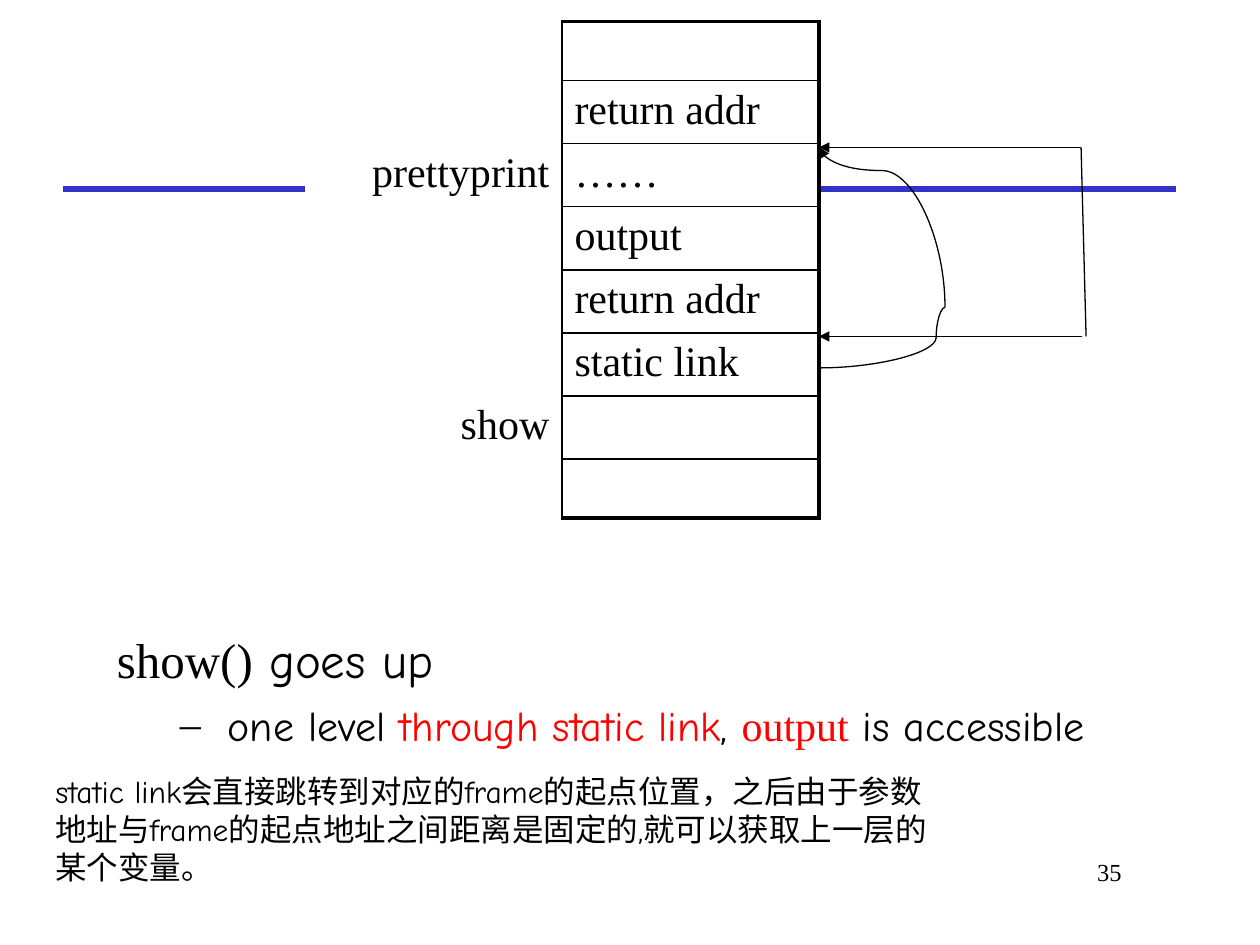
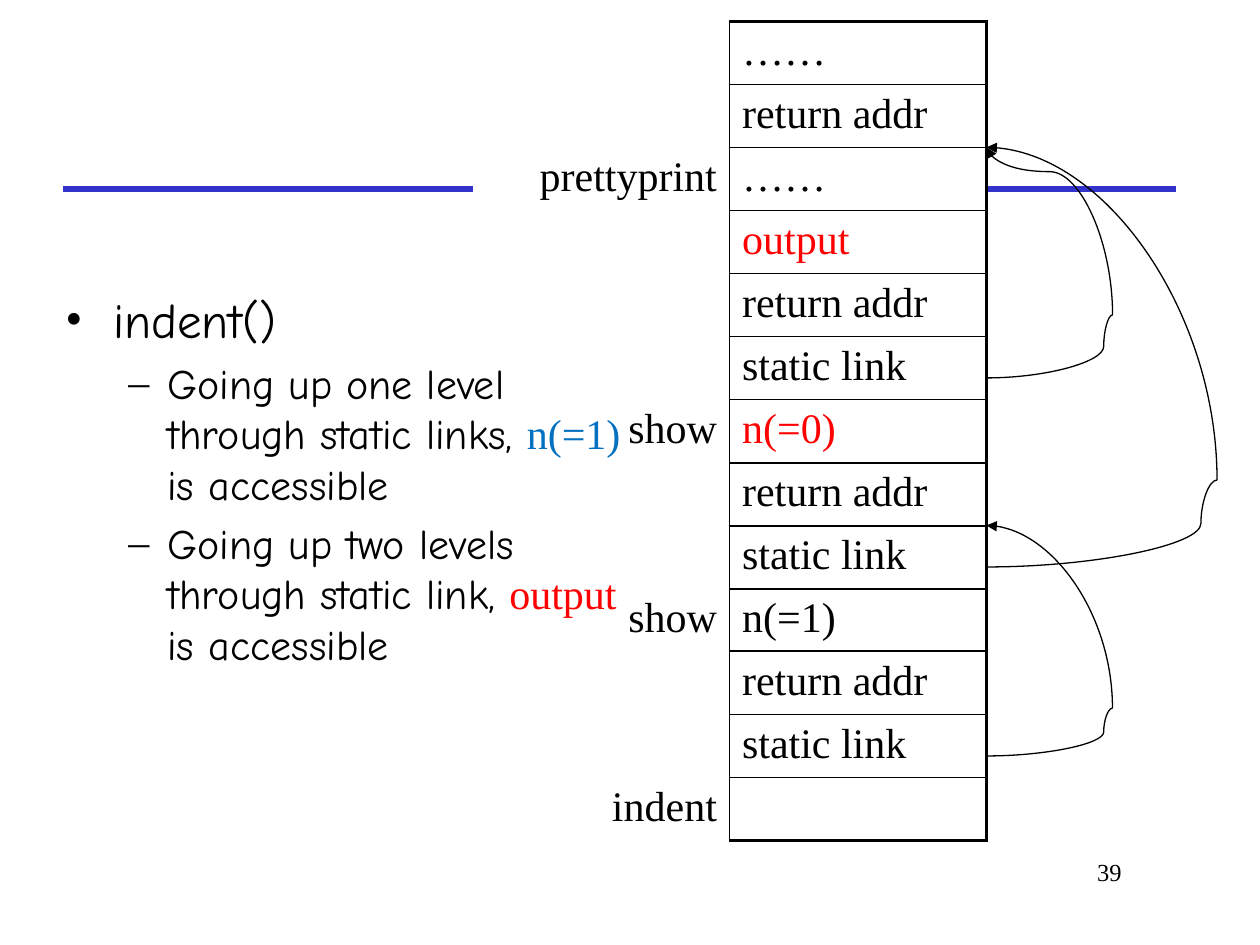
from lxml import etree
from pptx import Presentation
from pptx.dml.color import RGBColor
from pptx.enum import shapes, text
from pptx.oxml import ns
from pptx.util import Inches, Pt

BLACK = RGBColor(0, 0, 0)
WHITE = RGBColor(255, 255, 255)
RED = RGBColor(255, 0, 0)
BLUE = RGBColor(0, 0x70, 0xC0)
RULE = RGBColor(0x33, 0x33, 0xCC)
SERIF = "Times New Roman"
COMIC = "Comic Neue"
ROW = 0.47
COL = 2.04
TOP = 0.17
GRID = "{2D5ABB26-0587-4C30-8999-92F81FD0307C}"
LINK = shapes.MSO_CONNECTOR
RIGHT = text.PP_ALIGN.RIGHT


def add(node, tag, **attrs):
    return etree.SubElement(node, ns.qn(tag), attrs)


def write(para, words, size, font=SERIF, color=BLACK):
    run = para.add_run()
    run.text = words
    run.font.size = Pt(size)
    run.font.name = font
    run.font.color.rgb = color


def frame(slide, box):
    body = slide.shapes.add_textbox(*map(Inches, box)).text_frame
    body.word_wrap = True
    return body


def mark(para, sign, left, hang):
    props = para._p.get_or_add_pPr()
    props.set("marL", str(Inches(left)))
    props.set("indent", str(Inches(-hang)))
    add(props, "a:buFont", typeface=SERIF)
    add(props, "a:buChar", char=sign)


def style(line, color=BLACK, width=0.75, head=None, tail=None):
    line.line.color.rgb = color
    line.line.width = Pt(width)
    props = line._element.spPr
    for tag, end in (("a:headEnd", head), ("a:tailEnd", tail)):
        if end:
            add(line.line._get_or_add_ln(), tag, type=end)
    add(props, "a:effectLst")


def line(slide, start, end, **look):
    ends = map(Inches, (*start, *end))
    style(slide.shapes.add_connector(LINK.STRAIGHT, *ends), **look)


def curve(group, box, turn=0, flip="v", bend=None, tail=None):
    x, y, w, h = box
    xs = (x + w, x) if flip == "h" else (x, x + w)
    ys = (y + h, y) if flip == "v" else (y, y + h)
    arc = group.shapes.add_connector(
        LINK.CURVE, *map(Inches, (xs[0], ys[0], xs[1], ys[1])))
    props = arc._element.spPr
    if turn:
        props.find(ns.qn("a:xfrm")).set("rot", str(turn * 60000))
    geom = props.find(ns.qn("a:prstGeom"))
    if bend:
        guides = geom.find(ns.qn("a:avLst"))
        if guides is None:
            guides = add(geom, "a:avLst")
        add(guides, "a:gd", name="adj1", fmla=f"val {round(bend * 100000)}")
    else:
        geom.set("prst", "curvedConnector2")
    style(arc, tail=tail)


def chain(slide, left, base, mid, top, rise, reach=1, bend=None):
    group = slide.shapes.add_group_shape()
    span = mid - top
    box = (left + (reach - span) / 2, top + (span - reach) / 2, span, reach)
    if bend:
        curve(group, box, 270, "v", bend, rise)
    else:
        curve(group, box, 90, "h", None, rise)
    curve(group, (left, mid, reach, base - mid), bend=0.93)


def edge(cell, **widths):
    props = cell._tc.get_or_add_tcPr()
    sides = [side for side in "LRTB" if side in widths]
    for spot, side in enumerate(sides):
        ln = etree.Element(ns.qn(f"a:ln{side}"), w=str(Pt(widths[side])))
        add(add(ln, "a:solidFill"), "a:srgbClr", val=str(BLACK))
        props.insert(spot, ln)


def stack(slide, left, top, rows, cap=2.25):
    size = map(Inches, (left, top, 2 * COL, ROW * len(rows)))
    table = slide.shapes.add_table(len(rows), 2, *size).table
    table.first_row = table.horz_banding = False
    table._tbl.tblPr.find(ns.qn("a:tableStyleId")).text = GRID
    for col in table.columns:
        col.width = Inches(COL)
    last = len(rows) - 1
    for num, (name, slot, color) in enumerate(rows):
        table.rows[num].height = Inches(ROW)
        label, value = table.cell(num, 0), table.cell(num, 1)
        for cell, words, tint in ((label, name, BLACK), (value, slot, color)):
            cell.fill.solid()
            cell.fill.fore_color.rgb = WHITE
            if words:
                write(cell.text_frame.paragraphs[0], words, 24, color=tint)
        label.text_frame.paragraphs[0].alignment = RIGHT
        edge(label, R=1)
        edge(value, L=1, R=2.25, T=1 if num else cap,
             B=2.25 if num == last else 1)


def base(deck, page):
    slide = deck.slides.add_slide(deck.slide_layouts[6])
    line(slide, (0.5, 1.5), (9.33, 1.5), color=RULE, width=3)
    para = frame(slide, (6.92, 6.75, 2.08, 0.5)).paragraphs[0]
    para.alignment = RIGHT
    write(para, page, 14)
    return slide


def notes(slide, box):
    body = frame(slide, box)
    head, item = body.paragraphs[0], body.add_paragraph()
    write(head, "show()", 28)
    write(head, " goes up", 28, COMIC)
    item.space_before = Pt(6)
    mark(item, "–", 0.88, 0.38)
    write(item, "one level ", 24, COMIC)
    write(item, "through static link", 24, COMIC, RED)
    write(item, ", ", 24, COMIC)
    write(item, "output", 24, color=RED)
    write(item, " is accessible", 24, COMIC)


def points(slide, box):
    body = frame(slide, box)
    head = body.paragraphs[0]
    mark(head, "•", 0.38, 0.38)
    write(head, "indent()", 28, COMIC)
    for lead, name, color in (
            ("Going up one level through static links, ", "n(=1)", BLUE),
            ("Going up two levels through static link, ", "output", RED)):
        item = body.add_paragraph()
        item.space_before = Pt(5)
        mark(item, "–", 0.81, 0.31)
        write(item, lead, 24, COMIC)
        write(item, name, 24, color=color)
        write(item, " is accessible", 24, COMIC)


def show(deck):
    slide = base(deck, "35")
    left = 2.42
    stack(slide, left, TOP, [
        ("", "", BLACK),
        ("", "return addr", BLACK),
        ("prettyprint", "……", BLACK),
        ("", "output", BLACK),
        ("", "return addr", BLACK),
        ("", "static link", BLACK),
        ("show", "", BLACK),
        ("", "", BLACK)])
    side = left + 2 * COL
    chain(slide, side, 2.92, 2.44, 1.17, "triangle", bend=0.855)
    line(slide, (side, 1.17), (8.58, 1.17), head="triangle")
    line(slide, (8.58, 1.17), (8.62, 2.67))
    line(slide, (side, 2.67), (8.59, 2.67), head="triangle")
    notes(slide, (0.83, 4.95, 8.8, 1.06))
    para = frame(slide, (0.34, 6.08, 7.21, 1.01)).paragraphs[0]
    write(para, "static link会直接跳转到对应的frame的起点位置，之后由于参数地址与"
          "frame的起点地址之间距离是固定的,就可以获取上一层的某个变量。", 18, COMIC)


def indent(deck):
    slide = base(deck, "39")
    left = 3.75
    stack(slide, left, TOP, [
        ("", "……", BLACK),
        ("", "return addr", BLACK),
        ("prettyprint", "……", BLACK),
        ("", "output", RED),
        ("", "return addr", BLACK),
        ("", "static link", BLACK),
        ("show", "n(=0)", RED),
        ("", "return addr", BLACK),
        ("", "static link", BLACK),
        ("show", "n(=1)", BLACK)])
    stack(slide, left, 5.17, [
        ("", "return addr", BLACK),
        ("", "static link", BLACK),
        ("indent", "", BLACK)], cap=1)
    side = left + 2 * COL
    chain(slide, side, 6, 5.62, 4.17, "triangle")
    chain(slide, side, 4.5, 3.81, 1.17, "triangle", reach=1.83)
    chain(slide, side, 3, 2.5, 1.17, "triangle", bend=0.855)
    points(slide, (0.42, 2.25, 4.67, 3.08))


def main():
    deck = Presentation()
    deck.slide_width, deck.slide_height = Inches(10), Inches(7.5)
    show(deck)
    indent(deck)
    deck.save("out.pptx")


if __name__ == "__main__":
    main()
